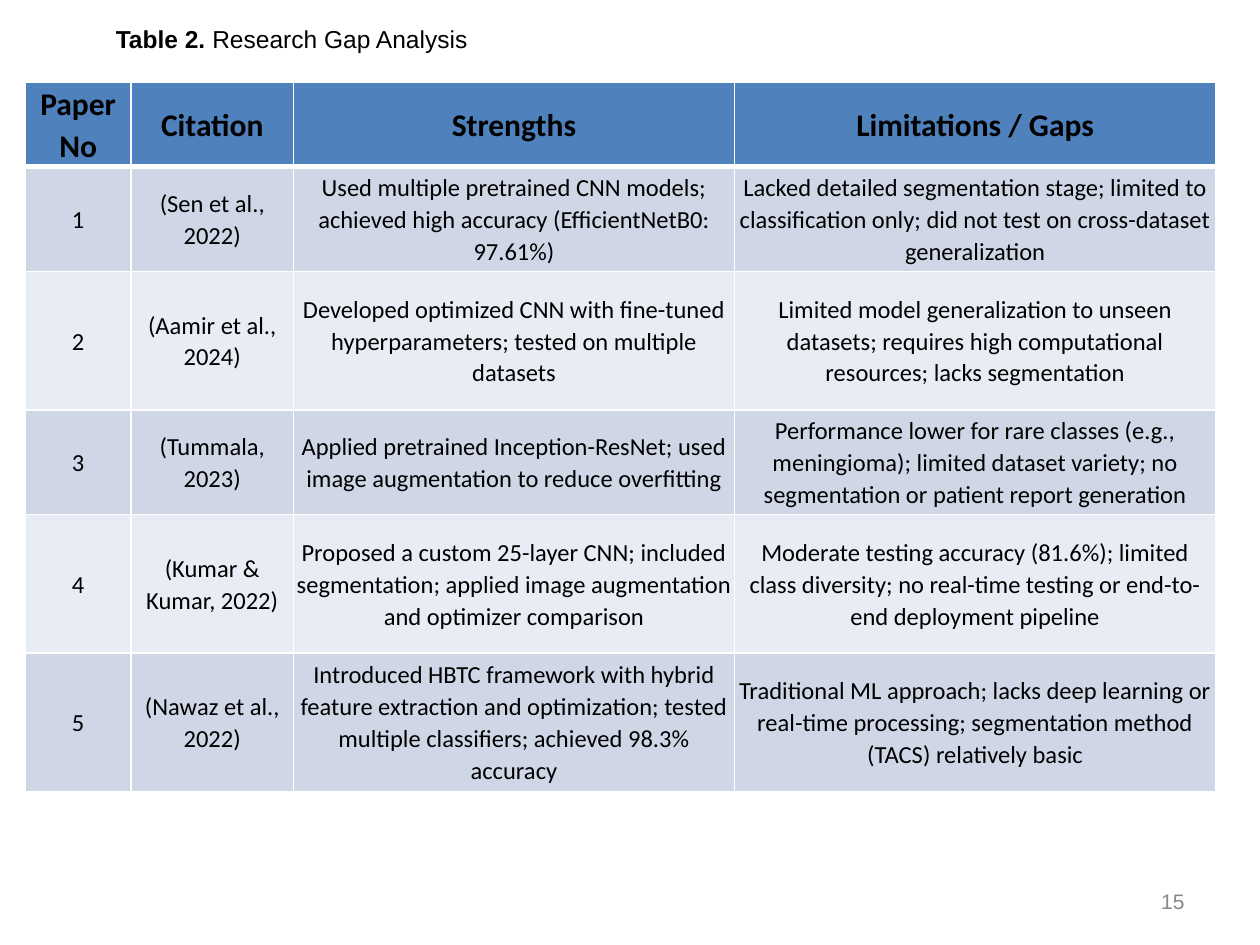
from lxml import etree
from pptx import Presentation
from pptx import util as u
from pptx.dml.color import RGBColor
from pptx.enum import shapes, text
from pptx.oxml.ns import qn

# Content
CAPTION = [("Table 2. ", True), ("Research Gap Analysis", False)]
PAGE_NUMBER = "15"
HEADINGS = ("Paper No", "Citation", "Strengths", "Limitations / Gaps")
PAPERS = [
    ("(Sen et al., 2022)",
     "Used multiple pretrained CNN models; achieved high accuracy (EfficientNetB0: 97.61%)",
     "Lacked detailed segmentation stage; limited to classification only; "
     "did not test on cross-dataset generalization"),
    ("(Aamir et al., 2024)",
     "Developed optimized CNN with fine-tuned hyperparameters; tested on multiple datasets",
     "Limited model generalization to unseen datasets; requires high computational "
     "resources; lacks segmentation"),
    ("(Tummala, 2023)",
     "Applied pretrained Inception-ResNet; used image augmentation to reduce overfitting",
     "Performance lower for rare classes (e.g., meningioma); limited dataset variety; "
     "no segmentation or patient report generation"),
    ("(Kumar & Kumar, 2022)",
     "Proposed a custom 25-layer CNN; included segmentation; applied image augmentation "
     "and optimizer comparison",
     "Moderate testing accuracy (81.6%); limited class diversity; no real-time testing "
     "or end-to-end deployment pipeline"),
    ("(Nawaz et al., 2022)",
     "Introduced HBTC framework with hybrid feature extraction and optimization; tested "
     "multiple classifiers; achieved 98.3% accuracy",
     "Traditional ML approach; lacks deep learning or real-time processing; "
     "segmentation method (TACS) relatively basic"),
]

# Grid in inches
TABLE_LEFT, TABLE_TOP = 0.2, 0.65
COLUMNS = (0.84, 1.29, 3.5, 3.82)
SHORT_ROW, TALL_ROW = 0.83, 1.1
ROWS = (0.56, SHORT_ROW, TALL_ROW, SHORT_ROW, TALL_ROW, TALL_ROW)
CELL_INSET = 0.01

# Look
WHITE, BLACK, GREY = "FFFFFF", "000000", "888888"
HEADER_FILL, BANDS = "4F81BD", ("CFD7E7", "E8ECF4")


def colour(hex_code):
    return RGBColor.from_string(hex_code)


def add_run(paragraph, words, size, font, hex_code, bold=False):
    run = paragraph.add_run()
    run.text = words
    run.font.size, run.font.name, run.font.bold = u.Pt(size), font, bold
    run.font.color.rgb = colour(hex_code)


def set_borders(cell, bottom_width):
    properties = cell._tc.get_or_add_tcPr()
    widths = {"a:lnL": 1, "a:lnR": 1, "a:lnT": 1, "a:lnB": bottom_width}
    for position, (tag, width) in enumerate(widths.items()):
        line = etree.Element(qn(tag), w=str(u.Pt(width)))
        fill = etree.SubElement(line, qn("a:solidFill"))
        etree.SubElement(fill, qn("a:srgbClr"), val=WHITE)
        properties.insert(position, line)


def fill_cell(cell, words, fill, size, bold, bottom_width):
    cell.fill.solid()
    cell.fill.fore_color.rgb = colour(fill)
    cell.vertical_anchor = text.MSO_ANCHOR.MIDDLE
    cell.margin_left = cell.margin_right = u.Inches(CELL_INSET)
    cell.margin_top = cell.margin_bottom = u.Inches(CELL_INSET)
    paragraph = cell.text_frame.paragraphs[0]
    paragraph.alignment = text.PP_ALIGN.CENTER
    paragraph.line_spacing = 1.07
    add_run(paragraph, words, size, "Calibri", BLACK, bold)
    set_borders(cell, bottom_width)


def add_caption(slide):
    caption = slide.shapes.add_shape(
        shapes.MSO_SHAPE.ROUNDED_RECTANGLE,
        u.Inches(0.54), u.Inches(0.11), u.Inches(3.55), u.Inches(0.39))
    caption.shadow.inherit = False
    caption.fill.solid()
    caption.fill.fore_color.rgb = colour(WHITE)
    caption.line.color.rgb = colour(WHITE)
    caption.line.width = u.Pt(2)
    caption.text_frame.word_wrap = True
    caption.text_frame.vertical_anchor = text.MSO_ANCHOR.MIDDLE
    paragraph = caption.text_frame.paragraphs[0]
    paragraph.alignment = text.PP_ALIGN.CENTER
    for words, bold in CAPTION:
        add_run(paragraph, words, 14, "Arial", BLACK, bold)


def add_gap_table(slide):
    table = slide.shapes.add_table(
        len(ROWS), len(COLUMNS), u.Inches(TABLE_LEFT), u.Inches(TABLE_TOP),
        u.Inches(sum(COLUMNS)), u.Inches(sum(ROWS))).table
    for column, width in zip(table.columns, COLUMNS):
        column.width = u.Inches(width)
    for row, height in zip(table.rows, ROWS):
        row.height = u.Inches(height)
    for cell, heading in zip(table.rows[0].cells, HEADINGS):
        fill_cell(cell, heading, HEADER_FILL, 18, True, 3)
    for number, paper in enumerate(PAPERS, start=1):
        band = BANDS[(number - 1) % 2]
        for cell, words in zip(table.rows[number].cells, (str(number), *paper)):
            fill_cell(cell, words, band, 14, False, 1)


def add_page_number(slide):
    page_number = slide.shapes.add_textbox(
        u.Inches(7.17), u.Inches(6.95), u.Inches(2.33), u.Inches(0.4))
    page_number.text_frame.word_wrap = True
    page_number.text_frame.vertical_anchor = text.MSO_ANCHOR.MIDDLE
    paragraph = page_number.text_frame.paragraphs[0]
    paragraph.alignment = text.PP_ALIGN.RIGHT
    add_run(paragraph, PAGE_NUMBER, 12, "Arial", GREY)


def main():
    deck = Presentation()
    deck.slide_width, deck.slide_height = u.Inches(10), u.Inches(7.5)
    slide = deck.slides.add_slide(deck.slide_layouts[6])
    add_caption(slide)
    add_gap_table(slide)
    add_page_number(slide)
    deck.save("out.pptx")


if __name__ == "__main__":
    main()
